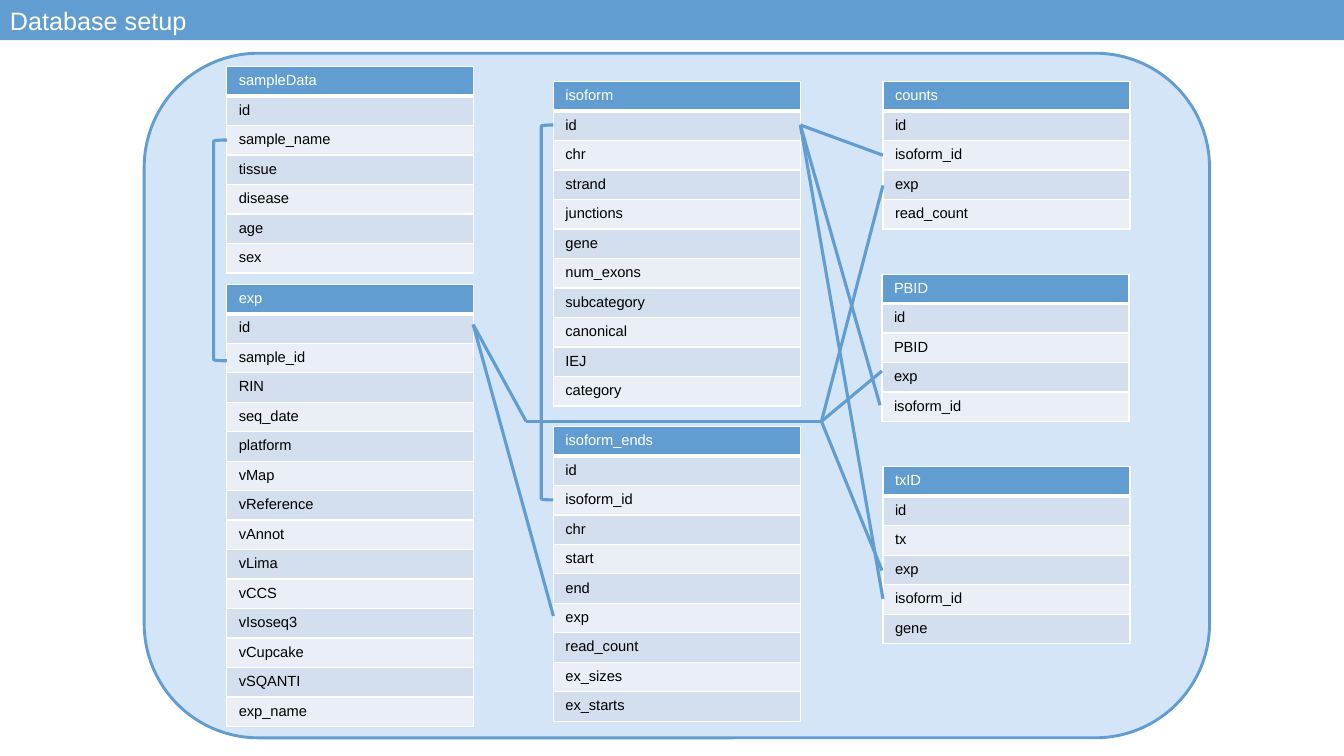
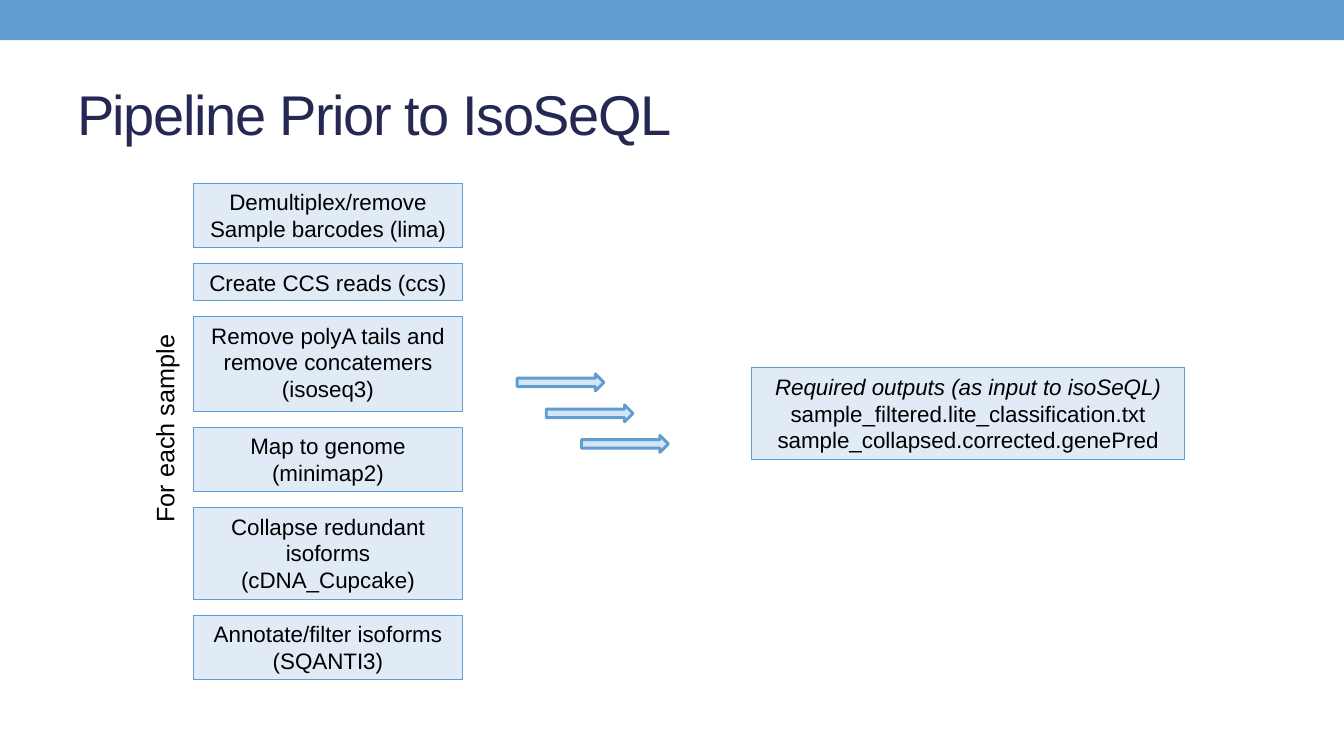
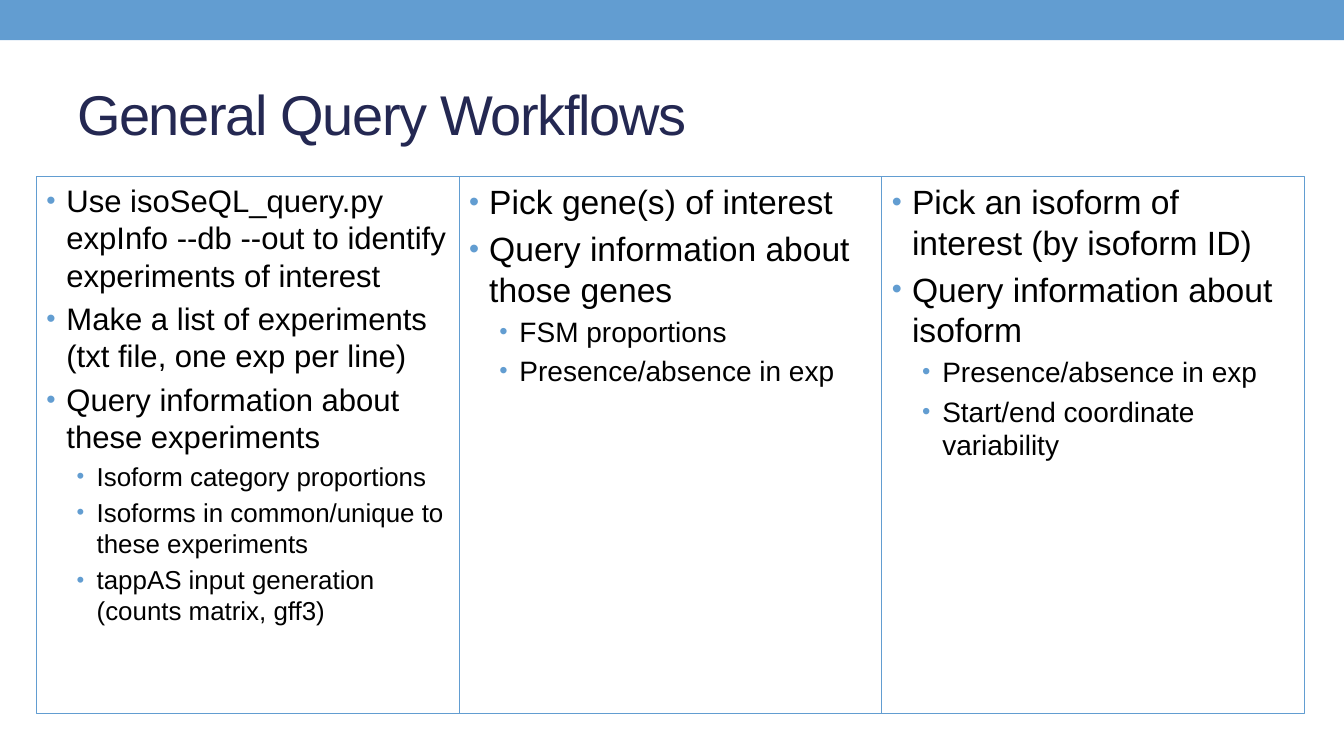
import dataclasses
import pptx
import pptx.dml.color
import pptx.enum.shapes
import pptx.enum.text
import pptx.oxml
import pptx.oxml.ns
import pptx.util

Pt = pptx.util.Pt
Shape = pptx.enum.shapes.MSO_SHAPE
Anchor = pptx.enum.text.MSO_ANCHOR
Align = pptx.enum.text.PP_ALIGN
rgb = pptx.dml.color.RGBColor.from_string
NAMESPACE = pptx.oxml.ns.nsdecls("a")


@dataclasses.dataclass(frozen=True)
class Theme:
    font: str = "Arial"
    accent: str = "629DD1"
    navy: str = "242852"
    black: str = "000000"
    white: str = "FFFFFF"
    panel: str = "D4E5F7"
    step: str = "E0EBF6"
    bands: tuple = ("EAEFF7", "D3DFEE")
    title: float = 40
    label: float = 18
    body: float = 16
    field: float = 10.5
    thin: float = 0.75
    outline: float = 2.08
    link: float = 2.25


theme = Theme()


def draw(slide, kind, place, fill=None, line=None, width=theme.thin):
    shape = slide.shapes.add_shape(kind, *map(Pt, place))
    shape.shadow.inherit = False
    for part, color in ((shape.fill, fill), (shape.line.fill, line)):
        if color:
            part.solid()
            part.fore_color.rgb = rgb(color)
        else:
            part.background()
    if line:
        shape.line.width = Pt(width)
    return shape


def write(holder, lines, size, color=theme.black, align=Align.LEFT, **frame_format):
    frame = holder.text_frame
    settings = {"word_wrap": True, "vertical_anchor": Anchor.TOP, **frame_format}
    for name, value in settings.items():
        setattr(frame, name, value)
    for index, text in enumerate(lines):
        para = frame.add_paragraph() if index else frame.paragraphs[0]
        para.alignment = align
        span = para.add_run()
        span.text = text
        for name, value in {"name": theme.font, "size": Pt(size)}.items():
            setattr(span.font, name, value)
        span.font.color.rgb = rgb(color)
    return frame.paragraphs


deck = pptx.Presentation()
deck.slide_width, deck.slide_height = Pt(960), Pt(540)
database, pipeline, workflows = [deck.slides.add_slide(deck.slide_layouts[6]) for _ in range(3)]

for slide in deck.slides:
    draw(slide, Shape.RECTANGLE, (0, 0, 960, 28.8), theme.accent)

for slide, text in ((pipeline, "Pipeline Prior to IsoSeQL"), (workflows, "General Query Workflows")):
    box = slide.shapes.add_textbox(*map(Pt, (48, 42, 864, 77.8)))
    title = write(box, [text], theme.title, theme.navy, vertical_anchor=Anchor.MIDDLE)[0]
    title.runs[0].font._element.set("spc", "-100")

box = database.shapes.add_textbox(*map(Pt, (0, 0, 142, 28.8)))
write(box, ["Database setup"], theme.label, theme.white, word_wrap=False)
draw(database, Shape.ROUNDED_RECTANGLE, (103, 38, 761, 489), theme.panel, theme.accent, theme.outline)

row_height, table_width = 21.07, 176.4
tables = [
    (395.3, 58.3, "isoform id chr strand junctions gene num_exons subcategory canonical IEJ category"),
    (162, 47.5, "sampleData id sample_name tissue disease age sex"),
    (162, 203, "exp id sample_id RIN seq_date platform vMap vReference vAnnot vLima vCCS"
               " vIsoseq3 vCupcake vSQANTI exp_name"),
    (395.3, 304.6, "isoform_ends id isoform_id chr start end exp read_count ex_sizes ex_starts"),
    (630.7, 58.3, "counts id isoform_id exp read_count"),
    (630, 195.8, "PBID id PBID exp isoform_id"),
    (630.7, 333.4, "txID id tx exp isoform_id gene"),
]
cell_format = {"margin_left": Pt(8.6), "margin_right": Pt(8.6), "margin_top": Pt(4.2), "margin_bottom": Pt(4.2)}
for left, top, names in tables:
    fields = names.split()
    place = (left, top, table_width, row_height * len(fields))
    table = database.shapes.add_table(len(fields), 1, *map(Pt, place)).table
    for index, field in enumerate(fields):
        table.rows[index].height = Pt(row_height)
        cell = table.cell(index, 0)
        for name, value in cell_format.items():
            setattr(cell, name, value)
        write(cell, [field], theme.field, theme.black if index else theme.white)
        properties = cell._tc.get_or_add_tcPr()
        for side in "LRTB":
            width = Pt(3 if side == "B" and not index else 1)
            properties.append(pptx.oxml.parse_xml(
                f'<a:ln{side} {NAMESPACE} w="{width}"><a:solidFill>'
                f'<a:srgbClr val="{theme.white}"/></a:solidFill></a:ln{side}>'))
        cell.fill.solid()
        cell.fill.fore_color.rgb = rgb(theme.bands[index % 2] if index else theme.accent)

for place in ((152.6, 100, 9.4, 157.7), (386.6, 89.3, 8.7, 267.8)):
    draw(database, Shape.LEFT_BRACKET, place, line=theme.accent, width=theme.link)

exp_id, exp_bend, exp_hub, isoform_id = (338, 231.8), (375.8, 301), (586.8, 301), (571.7, 89.3)
links = [
    (exp_id, (395.3, 440)),
    (exp_id, exp_bend),
    (exp_bend, exp_hub),
    (exp_hub, (630.7, 132.5)),
    (exp_hub, (630, 265)),
    (exp_hub, (630, 407.5)),
    (isoform_id, (630.7, 110.9)),
    (isoform_id, (628.6, 289.4)),
    (isoform_id, (630.7, 427.7)),
]
for start, end in links:
    link = database.shapes.add_connector(pptx.enum.shapes.MSO_CONNECTOR.STRAIGHT, *map(Pt, start + end))
    link.line.color.rgb = rgb(theme.accent)
    link.line.width = Pt(theme.link)
    link._element.spPr.append(pptx.oxml.parse_xml(f"<a:effectLst {NAMESPACE}/>"))

steps = [
    (46.1, ["Demultiplex/remove Sample barcodes (lima)"]),
    (26.6, ["Create CCS reads (ccs)"]),
    (67.7, ["Remove polyA tails and remove concatemers", "(isoseq3)"]),
    (46.1, ["Map to genome (minimap2)"]),
    (65.5, ["Collapse redundant isoforms (cDNA_Cupcake)"]),
    (46.1, ["Annotate/filter isoforms (SQANTI3)"]),
]
top, step_gap = 131, 11.3
for height, lines in steps:
    step = draw(pipeline, Shape.RECTANGLE, (138.2, top, 192.2, height), theme.step, theme.accent)
    write(step, lines, theme.body, align=Align.CENTER)
    top += height + step_gap

box = pipeline.shapes.add_textbox(*map(Pt, (42.5, 291, 149.8, 28.8)))
box.rotation = 270
write(box, ["For each sample"], theme.label, word_wrap=False)

for left, top in ((369.4, 267.1), (390.2, 289.2), (415.4, 311)):
    draw(pipeline, Shape.RIGHT_ARROW, (left, top, 62, 12.2), theme.panel, theme.accent, theme.outline)

outputs = draw(pipeline, Shape.RECTANGLE, (537.1, 262.8, 308.9, 65.5), theme.step, theme.accent)
paras = write(outputs, [
    "Required outputs (as input to isoSeQL)",
    "sample_filtered.lite_classification.txt",
    "sample_collapsed.corrected.genePred",
], theme.body, align=Align.CENTER)
paras[0].runs[0].font.italic = True

columns = [
    (22.2, 18.5, [
        "Use isoSeQL_query.py expInfo --db --out to identify experiments of interest",
        "Make a list of experiments (txt file, one exp per line)",
        "Query information about these experiments",
    ], [
        "Isoform category proportions",
        "Isoforms in common/unique to these experiments",
        "tappAS input generation (counts matrix, gff3)",
    ]),
    (24, 20, ["Pick gene(s) of interest", "Query information about those genes"],
     ["FSM proportions", "Presence/absence in exp"]),
    (24, 20, ["Pick an isoform of interest (by isoform ID)", "Query information about isoform"],
     ["Presence/absence in exp", "Start/end coordinate variability"]),
]
column_width = 302
for number, (main_size, sub_size, points, details) in enumerate(columns):
    place = (26 + number * column_width, 126, column_width, 383.8)
    column = draw(workflows, Shape.RECTANGLE, place, line=theme.accent)
    for index, para in enumerate(write(column, points + details, main_size)):
        level = int(index >= len(points))
        size = sub_size if level else main_size
        para.runs[0].font.size = Pt(size)
        for name, value in {"level": level, "space_before": Pt(size * 0.2)}.items():
            setattr(para, name, value)
        properties = para._p.get_or_add_pPr()
        properties.set("marL", str(Pt(36 if level else 14.4)))
        properties.set("indent", str(Pt(-14.4)))
        for bullet in (
            f'<a:buClr {NAMESPACE}><a:srgbClr val="{theme.accent}"/></a:buClr>',
            f'<a:buSzPct {NAMESPACE} val="85000"/>',
            f'<a:buFont {NAMESPACE} typeface="{theme.font}"/>',
            f'<a:buChar {NAMESPACE} char="•"/>',
        ):
            properties.append(pptx.oxml.parse_xml(bullet))

deck.save("out.pptx")
